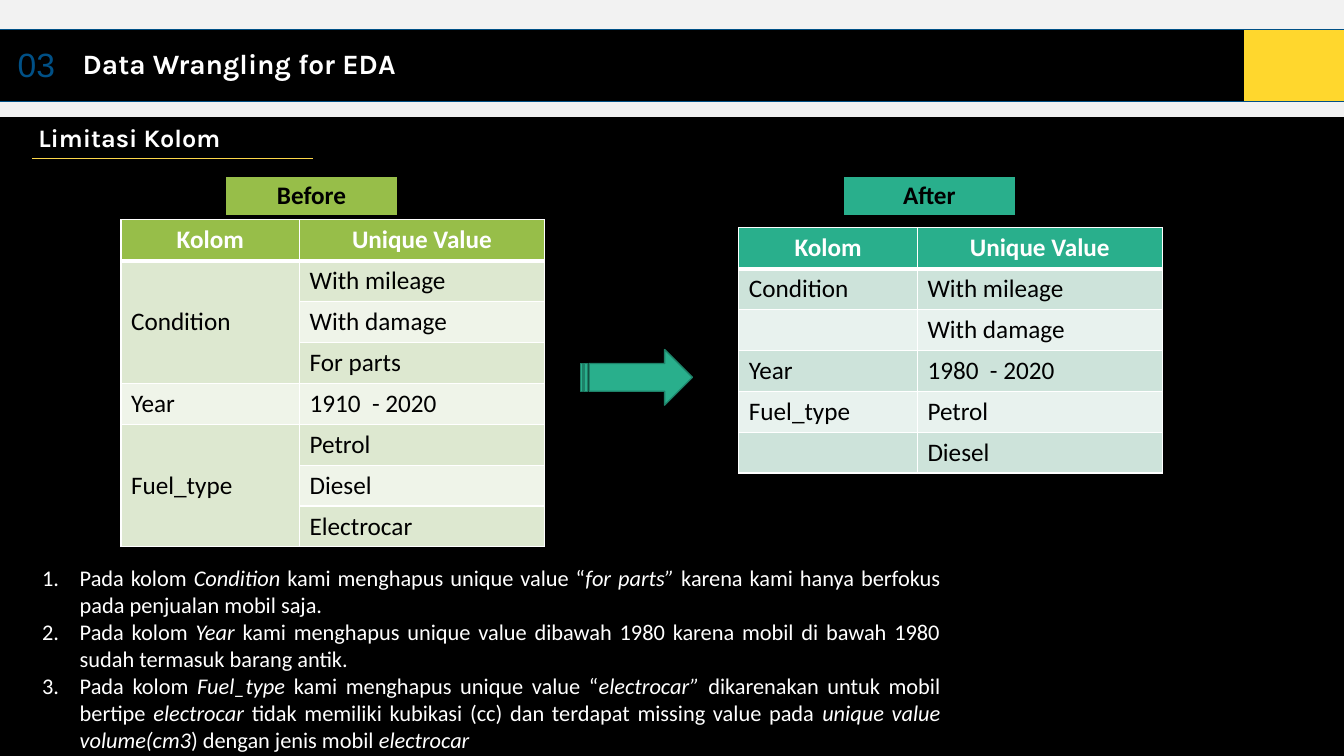
"""Build the column-limitation slide of the data wrangling section."""
from dataclasses import dataclass

from lxml import etree
from pptx import Presentation
from pptx.dml.color import RGBColor
from pptx.enum.shapes import MSO_CONNECTOR, MSO_SHAPE
from pptx.enum.text import MSO_ANCHOR, MSO_AUTO_SIZE, PP_ALIGN
from pptx.oxml.ns import qn
from pptx.slide import Slide
from pptx.table import Table, _Cell
from pptx.text.text import _Paragraph
from pptx.util import Cm, Pt

RECTANGLE, ARROW = MSO_SHAPE.RECTANGLE, MSO_SHAPE.STRIPED_RIGHT_ARROW
STRAIGHT = MSO_CONNECTOR.STRAIGHT
LEFT, CENTER, JUSTIFY = PP_ALIGN.LEFT, PP_ALIGN.CENTER, PP_ALIGN.JUSTIFY
TOP, MIDDLE = MSO_ANCHOR.TOP, MSO_ANCHOR.MIDDLE
NO_AUTOFIT = MSO_AUTO_SIZE.NONE

BLACK = RGBColor(0x00, 0x00, 0x00)
WHITE = RGBColor(0xFF, 0xFF, 0xFF)
LIGHT_GRAY = RGBColor(0xF2, 0xF2, 0xF2)
NAVY = RGBColor(0x00, 0x50, 0x86)
YELLOW = RGBColor(0xFF, 0xD7, 0x2D)
GOLD = RGBColor(0xFC, 0xD7, 0x4A)
GREEN = RGBColor(0x97, 0xBE, 0x49)
GREEN_BANDS = (RGBColor(0xEF, 0xF4, 0xE9), RGBColor(0xDD, 0xE8, 0xD0))
TEAL = RGBColor(0x29, 0xAF, 0x8C)
TEAL_BANDS = (RGBColor(0xE8, 0xF2, 0xEE), RGBColor(0xCD, 0xE3, 0xDA))
DARK_TEAL = RGBColor(0x1E, 0x81, 0x68)

ROW_HEIGHT = 1.03
LABEL_TOP, LABEL_WIDTH, LABEL_OFFSET = 4.42, 4.32, 2.64
COLUMN_WIDTHS = (4.5, 6.17)


@dataclass(frozen=True)
class Border:
    """Colour and width in points of one cell edge."""
    color: RGBColor
    width: float


@dataclass(frozen=True)
class Comparison:
    """A labelled table of unique values; lengths are in centimetres."""
    label: str
    left: float
    top: float
    accent: RGBColor
    bands: tuple[RGBColor, RGBColor]
    rows: tuple[tuple[str, str], ...]
    merges: tuple[tuple[int, int], ...] = ()


COMPARISONS = (
    Comparison("Before", 3.05, 5.54, GREEN, GREEN_BANDS, (
        ("Condition", "With mileage"), ("", "With damage"), ("", "For parts"),
        ("Year", "1910  - 2020"),
        ("Fuel_type", "Petrol"), ("", "Diesel"), ("", "Electrocar"),
    ), ((1, 3), (5, 7))),
    Comparison("After", 18.62, 5.74, TEAL, TEAL_BANDS, (
        ("Condition", "With mileage"), ("", "With damage"),
        ("Year", "1980  - 2020"),
        ("Fuel_type", "Petrol"), ("", "Diesel"),
    )),
)

# Plain and italic spans alternate.
NOTES = (
    ("Pada kolom ", "Condition ", "kami menghapus unique value “", "for parts” ",
     "karena kami hanya berfokus pada penjualan mobil saja."),
    ("Pada kolom ", "Year ", "kami menghapus unique value dibawah 1980 karena "
     "mobil di bawah 1980 sudah termasuk barang antik."),
    ("Pada kolom ", "Fuel_type ", "kami menghapus unique value “", "electrocar” ",
     "dikarenakan untuk mobil bertipe ", "electrocar ",
     "tidak memiliki kubikasi (cc) dan terdapat missing value pada ",
     "unique value volume(cm3", ") dengan jenis mobil ", "electrocar"),
)


def format_spans(para: _Paragraph, size: float, font: str, color: RGBColor,
                 bold: bool = False) -> None:
    """Give every run of a paragraph the same font."""
    for span in para.runs:
        span.font.size, span.font.name, span.font.bold = Pt(size), font, bold
        span.font.color.rgb = color


def style_cell(cell: _Cell, fill: RGBColor, borders: dict[str, Border]) -> None:
    """Draw the listed edges of a cell, hide the others and fill it."""
    properties = cell._tc.get_or_add_tcPr()
    for side in "LRTB":
        edge = etree.SubElement(properties, qn(f"a:ln{side}"))
        border = borders.get(side)
        if border is None:
            edge.set("w", "0")
            etree.SubElement(edge, qn("a:noFill"))
        else:
            edge.set("w", str(Pt(border.width)))
            paint = etree.SubElement(edge, qn("a:solidFill"))
            etree.SubElement(paint, qn("a:srgbClr"), val=str(border.color))
    cell.fill.solid()
    cell.fill.fore_color.rgb = fill


def write_cell(cell: _Cell, text: str, size: float, font: str, color: RGBColor,
               bold: bool = False, align: PP_ALIGN = LEFT) -> None:
    """Put one formatted line into a cell."""
    cell.text_frame.text = text
    para = cell.text_frame.paragraphs[0]
    para.alignment = align
    format_spans(para, size, font, color, bold)


def add_grid(page: Slide, left: float, top: float, widths: tuple[float, ...],
             row_count: int, row_height: float) -> Table:
    """Add an unbanded table with equal rows."""
    table = page.shapes.add_table(row_count, len(widths), Cm(left), Cm(top),
                                  Cm(sum(widths)), Cm(row_height * row_count)).table
    table.first_row = table.horz_banding = False
    for column, width in zip(table.columns, widths):
        column.width = Cm(width)
    return table


def add_header(page: Slide) -> None:
    """Add the gray band and the numbered section bar."""
    band = page.shapes.add_shape(RECTANGLE, 0, 0, Cm(33.87), Cm(2.95))
    band.shadow.inherit = False
    band.fill.solid()
    band.fill.fore_color.rgb = LIGHT_GRAY
    band.line.fill.background()

    bar = add_grid(page, 0, 0.75, (1.83, 29.53, 2.51), 1, 1.8)
    rule = Border(NAVY, 0.5)
    for cell, fill in zip(bar.iter_cells(), (BLACK, BLACK, YELLOW)):
        style_cell(cell, fill, {"T": rule, "B": rule})
        cell.vertical_anchor = MIDDLE
    write_cell(bar.cell(0, 0), "03", 24, "Arial", NAVY, align=CENTER)
    write_cell(bar.cell(0, 1), "Data Wrangling for EDA", 20, "Karla", WHITE, True)


def add_title(page: Slide) -> None:
    """Place the slide title and its underline."""
    title = page.shapes.title
    title.left, title.top, title.width, title.height = Cm(0.71), Cm(2.95), Cm(7.26), Cm(1.02)
    frame = title.text_frame
    frame.text = "Limitasi Kolom"
    frame.auto_size, frame.word_wrap, frame.vertical_anchor = NO_AUTOFIT, True, TOP
    frame.paragraphs[0].alignment = LEFT
    format_spans(frame.paragraphs[0], 18, "Karla", WHITE, True)

    underline = page.shapes.add_connector(STRAIGHT, Cm(0.81), Cm(3.99), Cm(7.9), Cm(3.99))
    underline.line.color.rgb = GOLD
    underline.line.width = Pt(0.5)
    etree.SubElement(underline._element.spPr, qn("a:effectLst"))


def add_comparison(page: Slide, item: Comparison) -> None:
    """Add one label and its table of unique values."""
    label = add_grid(page, item.left + LABEL_OFFSET, LABEL_TOP, (LABEL_WIDTH,), 1, ROW_HEIGHT)
    rule = Border(BLACK, 2)
    style_cell(label.cell(0, 0), item.accent, {"T": rule, "B": rule})
    write_cell(label.cell(0, 0), item.label, 18, "Calibri", BLACK, True, CENTER)

    rows = (("Kolom", "Unique Value"), *item.rows)
    table = add_grid(page, item.left, item.top, COLUMN_WIDTHS, len(rows), ROW_HEIGHT)
    thin, thick = Border(WHITE, 1), Border(WHITE, 3)
    for index, texts in enumerate(rows):
        header = index == 0
        borders = {"L": thin, "R": thin, "T": thick if index == 1 else thin,
                   "B": thick if header else thin}
        for column, text in enumerate(texts):
            cell = table.cell(index, column)
            style_cell(cell, item.accent if header else item.bands[index % 2], borders)
            write_cell(cell, text, 18, "Calibri", WHITE if header else BLACK,
                       header, CENTER if header else LEFT)
    for first, last in item.merges:
        table.cell(first, 0).merge(table.cell(last, 0))
        table.cell(first, 0).vertical_anchor = MIDDLE


def add_arrow(page: Slide) -> None:
    """Add the arrow between the two tables."""
    arrow = page.shapes.add_shape(ARROW, Cm(14.63), Cm(8.81), Cm(2.82), Cm(1.4))
    arrow.shadow.inherit = False
    arrow.fill.solid()
    arrow.fill.fore_color.rgb = TEAL
    arrow.line.color.rgb = DARK_TEAL
    arrow.line.width = Pt(1)


def add_notes(page: Slide) -> None:
    """Add the numbered explanation."""
    box = page.shapes.add_textbox(Cm(0.81), Cm(14.1), Cm(23.14), Cm(5.05))
    frame = box.text_frame
    frame.word_wrap = True
    for index, texts in enumerate(NOTES):
        para = frame.add_paragraph() if index else frame.paragraphs[0]
        para.alignment = JUSTIFY
        properties = para._p.get_or_add_pPr()
        properties.set("marL", str(Cm(0.95)))
        properties.set("indent", str(-Cm(0.95)))
        etree.SubElement(properties, qn("a:buFont"), typeface="+mj-lt")
        etree.SubElement(properties, qn("a:buAutoNum"), type="arabicPeriod")
        for position, text in enumerate(texts):
            span = para.add_run()
            span.text = text
            span.font.italic = position % 2 == 1
        format_spans(para, 16, "Calibri", WHITE)


def main() -> None:
    """Build and save the deck."""
    deck = Presentation()
    deck.slide_width, deck.slide_height = Cm(33.87), Cm(19.05)
    page = deck.slides.add_slide(deck.slide_layouts[5])
    page.background.fill.solid()
    page.background.fill.fore_color.rgb = BLACK
    add_header(page)
    add_title(page)
    for item in COMPARISONS:
        add_comparison(page, item)
    add_arrow(page)
    add_notes(page)
    deck.save("out.pptx")


if __name__ == "__main__":
    main()
